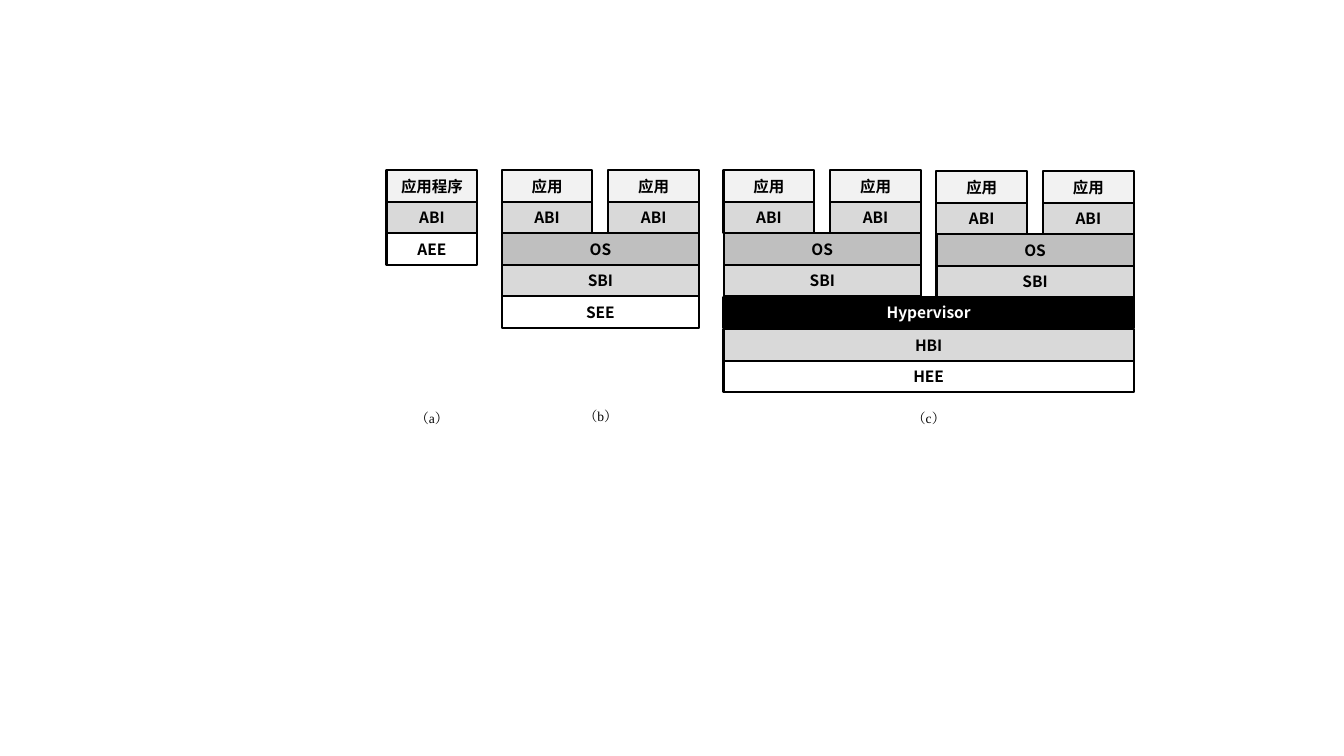
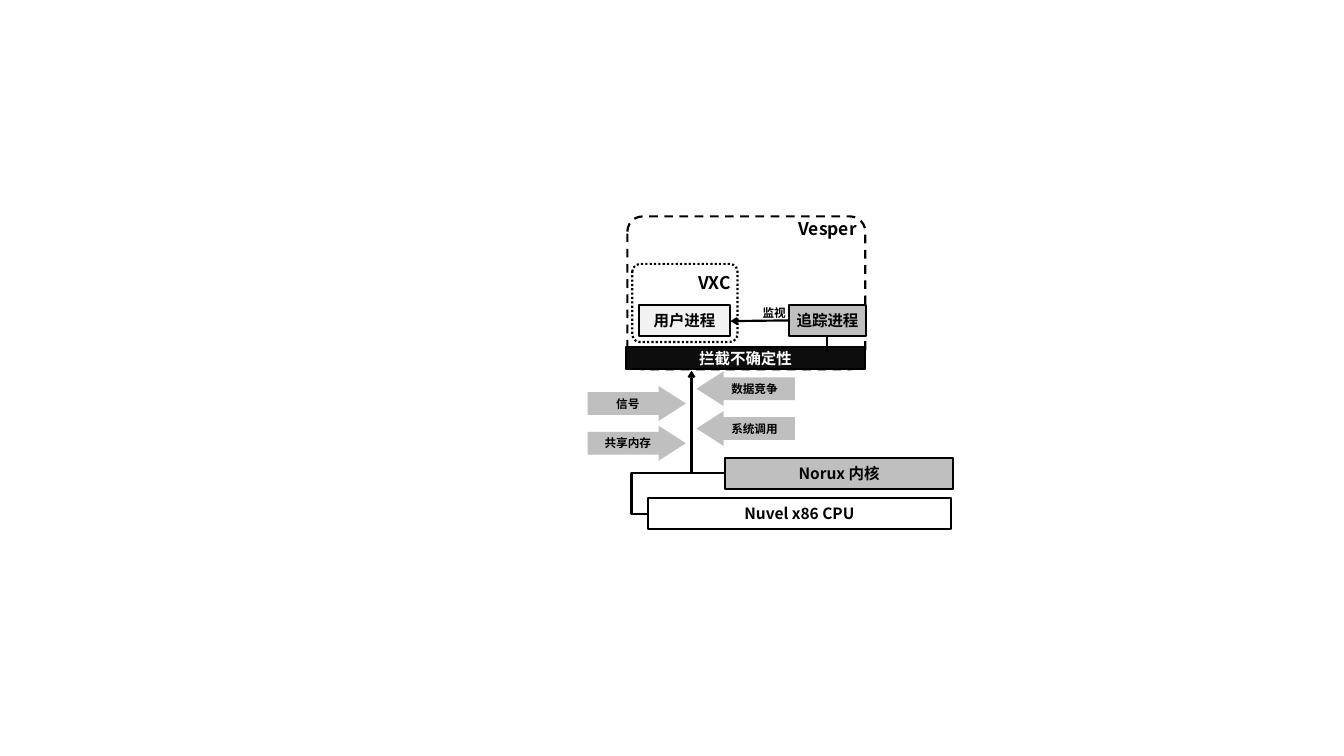
from dataclasses import dataclass
from typing import NamedTuple, Optional

from lxml.etree import SubElement
from pptx import Presentation
from pptx.dml.color import RGBColor
from pptx.enum.dml import MSO_LINE_DASH_STYLE as Dash
from pptx.enum.shapes import MSO_CONNECTOR as Connector
from pptx.enum.shapes import MSO_SHAPE as Preset
from pptx.enum.text import MSO_ANCHOR as Anchor
from pptx.enum.text import MSO_AUTO_SIZE as AutoSize
from pptx.enum.text import PP_ALIGN as Align
from pptx.oxml.ns import qn
from pptx.util import Pt


@dataclass(frozen=True)
class Theme:
    black: str = "000000"
    ink: str = "0D0D0D"
    mid: str = "BFBFBF"
    light: str = "D9D9D9"
    pale: str = "F2F2F2"
    white: str = "FFFFFF"
    sans: str = "Noto Sans CJK SC"
    serif: str = "Times New Roman"
    heading: int = 18
    label: int = 16
    caption: int = 14
    small: int = 12
    stroke: float = 2.25


THEME = Theme()


class Box(NamedTuple):
    left: float
    top: float
    width: float
    height: float

    def lengths(self) -> tuple:
        return tuple(Pt(value) for value in self)


class Point(NamedTuple):
    x: float
    y: float


class Layer(NamedTuple):
    text: str
    fill: Optional[str]


@dataclass(frozen=True)
class Block:
    text: str
    box: Box
    fill: Optional[str]
    ink: str = THEME.black


@dataclass(frozen=True)
class Label:
    text: str
    box: Box
    size: int
    align: Align = Align.CENTER
    font: str = THEME.sans
    bold: bool = True


@dataclass(frozen=True)
class Frame:
    box: Box
    dash: Dash


@dataclass(frozen=True)
class Cause:
    text: str
    left: float
    top: float
    preset: Preset


BAR = 32.4
PITCH = 32.5
APP_WIDTH = 93.6
APP_STEP = 110
OS_WIDTH = APP_STEP + APP_WIDTH
GUEST_STEP = 219.6
STACK_TOP = 175.7
HOST_TOP = 306

ABI = Layer("ABI", THEME.light)
APP = Layer("应用", THEME.pale)
KERNEL_LAYERS = (Layer("OS", THEME.mid), Layer("SBI", THEME.light))

CAUSE_SIZE = (101.5, 36)
CAUSES = (
    Cause("数据竞争", 718.6, 383, Preset.LEFT_ARROW),
    Cause("系统调用", 718.6, 424, Preset.LEFT_ARROW),
    Cause("信号", 606.2, 398.2, Preset.RIGHT_ARROW),
    Cause("共享内存", 606.2, 439.2, Preset.RIGHT_ARROW),
)


def write(frame, text: str, size: int, ink: str = THEME.black,
          align: Align = Align.CENTER, font: str = THEME.sans, bold: bool = True) -> None:
    """Put one formatted line in a text frame, for Latin and Chinese alike."""
    frame.word_wrap = True
    frame.text = text
    paragraph = frame.paragraphs[0]
    paragraph.alignment = align
    for run in paragraph.runs:
        run.font.size = Pt(size)
        run.font.bold = bold
        run.font.name = font
        run.font.color.rgb = RGBColor.from_string(ink)
        SubElement(run.font._element, qn("a:ea"), typeface=font)


def stroke(line) -> None:
    line.color.rgb = RGBColor.from_string(THEME.black)
    line.width = Pt(THEME.stroke)


def add_preset(slide, preset: Preset, box: Box, fill: Optional[str]):
    shape = slide.shapes.add_shape(preset, *box.lengths())
    shape.shadow.inherit = False
    if fill is None:
        shape.fill.background()
    else:
        shape.fill.solid()
        shape.fill.fore_color.rgb = RGBColor.from_string(fill)
    return shape


def add_block(slide, block: Block) -> None:
    shape = add_preset(slide, Preset.RECTANGLE, block.box, block.fill)
    stroke(shape.line)
    shape.text_frame.vertical_anchor = Anchor.MIDDLE
    write(shape.text_frame, block.text, THEME.label, block.ink)


def add_label(slide, label: Label) -> None:
    frame = slide.shapes.add_textbox(*label.box.lengths()).text_frame
    frame.auto_size = AutoSize.SHAPE_TO_FIT_TEXT
    write(frame, label.text, label.size, align=label.align, font=label.font, bold=label.bold)


def add_frame(slide, frame: Frame) -> None:
    shape = add_preset(slide, Preset.ROUNDED_RECTANGLE, frame.box, THEME.white)
    shape.adjustments[0] = 0.1
    stroke(shape.line)
    shape.line.dash_style = frame.dash


def add_cause(slide, cause: Cause) -> None:
    shape = add_preset(slide, cause.preset, Box(cause.left, cause.top, *CAUSE_SIZE), THEME.mid)
    shape.adjustments[0] = 0.65
    shape.adjustments[1] = 0.78
    shape.line.fill.background()
    shape.text_frame.vertical_anchor = Anchor.MIDDLE
    write(shape.text_frame, cause.text, THEME.small)


def add_link(slide, start: Point, end: Point, kind: Connector = Connector.STRAIGHT,
             arrow: bool = False):
    link = slide.shapes.add_connector(kind, *(Pt(value) for value in (*start, *end)))
    stroke(link.line)
    SubElement(link.element.spPr, qn("a:effectLst"))
    if arrow:
        SubElement(link.line._ln, qn("a:tailEnd"), type="arrow")
    return link


def add_stack(slide, left: float, top: float, width: float, layers: tuple) -> None:
    for row, layer in enumerate(layers):
        box = Box(left, top + row * PITCH, width, BAR)
        add_block(slide, Block(layer.text, box, layer.fill))


def add_guest(slide, left: float, top: float, base: tuple = ()) -> None:
    """Two applications side by side on one operating system."""
    for column in range(2):
        add_stack(slide, left + column * APP_STEP, top, APP_WIDTH, (APP, ABI))
    add_stack(slide, left, top + 2 * PITCH, OS_WIDTH, KERNEL_LAYERS + base)


def build_privilege_stacks(slide) -> None:
    single_left, os_left, host_left = 398.9, 517.7, 746.6
    add_stack(slide, single_left, STACK_TOP, APP_WIDTH,
              (Layer("应用程序", THEME.pale), ABI, Layer("AEE", THEME.white)))
    add_guest(slide, os_left, STACK_TOP, (Layer("SEE", THEME.white),))
    add_guest(slide, host_left, STACK_TOP)
    add_guest(slide, host_left + GUEST_STEP, STACK_TOP + 1)

    host_width = GUEST_STEP + OS_WIDTH
    add_block(slide, Block("Hypervisor", Box(host_left, HOST_TOP, host_width, BAR),
                           THEME.black, THEME.white))
    add_stack(slide, host_left, HOST_TOP + 33.8, host_width,
              (Layer("HBI", THEME.light), Layer("HEE", THEME.white)))

    for text, left, top in (("（a）", single_left, 419), ("（b）", 573.1, 417.6),
                            ("（c）", 911.5, 419)):
        add_label(slide, Label(text, Box(left, top, APP_WIDTH, 24.5), THEME.caption,
                               font=THEME.serif, bold=False))


def add_interception_links(slide) -> None:
    """Lead the kernel and the processor up to the interception bar."""
    kernel_port = Point(748.1, 488.2)
    rise = add_link(slide, Point(713.5, 382.3), kernel_port, Connector.ELBOW, arrow=True)
    rise.element.spPr.find(qn("a:xfrm")).set("rot", "10800000")
    rise.element.spPr.find(qn("a:prstGeom")).set("prst", "bentConnector2")

    detour = add_link(slide, Point(668.2, 529.9), kernel_port, Connector.ELBOW)
    guides = detour.element.spPr.find(qn("a:prstGeom")).find(qn("a:avLst"))
    SubElement(guides, qn("a:gd"), name="adj1", fmla="val -20900")


def build_tracing_container(slide) -> None:
    add_frame(slide, Frame(Box(647.3, 223.2, 245.5, 157.7), Dash.DASH))
    add_frame(slide, Frame(Box(652.3, 272.2, 108.7, 80.6), Dash.ROUND_DOT))

    for block in (
        Block("Nuvel x86 CPU", Box(668.2, 513.4, 313.2, BAR), None),
        Block("Norux 内核", Box(748.1, 472.3, 235.4, BAR), THEME.mid),
        Block("用户进程", Box(659.5, 314.6, APP_WIDTH, BAR), THEME.pale),
        Block("追踪进程", Box(814.3, 314.6, 79.2, BAR), THEME.mid),
        Block("拦截不确定性", Box(645.8, 357.8, 247, 23), THEME.ink, THEME.white),
    ):
        add_block(slide, block)

    add_interception_links(slide)
    add_link(slide, Point(814.3, 330.5), Point(753.8, 331.2), arrow=True)
    add_link(slide, Point(853.2, 362.9), Point(853.2, 347))

    for label in (
        Label("Vesper", Box(814.3, 221.8, 79.2, 28.8), THEME.heading),
        Label("VXC", Box(652.3, 277.2, 108.7, 28.8), THEME.heading, Align.RIGHT),
        Label("监视", Box(777.6, 311.8, 42.5, 21.6), THEME.small),
    ):
        add_label(slide, label)
    for cause in CAUSES:
        add_cause(slide, cause)


def main() -> None:
    deck = Presentation()
    deck.slide_width, deck.slide_height = Pt(1386.7), Pt(779.8)
    blank = deck.slide_layouts[6]
    for build in (build_privilege_stacks, build_tracing_container):
        build(deck.slides.add_slide(blank))
    deck.save("out.pptx")


if __name__ == "__main__":
    main()
